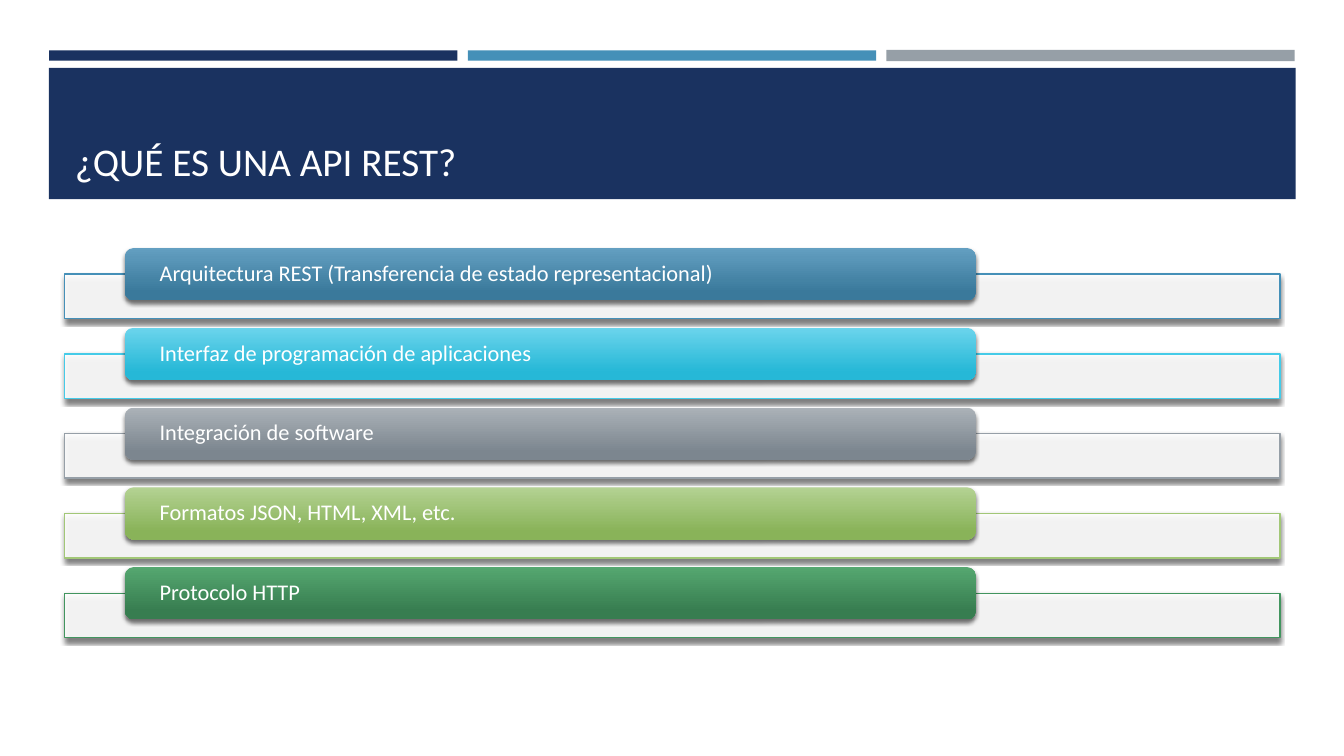
from lxml.etree import SubElement
from pptx import Presentation
from pptx.dml.color import RGBColor
from pptx.enum.shapes import MSO_SHAPE
from pptx.enum.text import MSO_ANCHOR, MSO_AUTO_SIZE, PP_ALIGN
from pptx.oxml.ns import qn
from pptx.util import Cm, Pt

FONT = "Calibri"
WHITE = "FFFFFF"
NAVY = "1A3260"

# left, top, height, colour
STRIPES = [
    (1.24, 1.27, 0.26, NAVY),
    (11.79, 1.27, 0.26, "4590B8"),
    (22.34, 1.26, 0.28, "969FA7"),
]

# text, frame line, gradient top, gradient bottom
TOPICS = [
    ("Arquitectura REST (Transferencia de estado representacional)",
     "4590B8", "639FC1", "3A799B"),
    ("Interfaz de programación de aplicaciones", "45CBE8", "6BD4EC", "26B8D7"),
    ("Integración de software", "969FA7", "ABB2B8", "7C868F"),
    ("Formatos JSON, HTML, XML, etc.", "A2C777", "B4D293", "89B359"),
    ("Protocolo HTTP", "42955F", "55A770", "377D50"),
]
TOPIC_PITCH = 2.01


def rgb(value):
    return RGBColor.from_string(value)


def add_box(page, kind, left, top, width, height):
    """Add a preset shape, measured in centimetres, with no line or shadow."""
    box = page.shapes.add_shape(kind, Cm(left), Cm(top), Cm(width), Cm(height))
    box.shadow.inherit = False
    box.line.fill.background()
    return box


def fill_solid(box, colour):
    box.fill.solid()
    box.fill.fore_color.rgb = rgb(colour)


def fill_gradient(box, upper, lower):
    box.fill.gradient()
    box.fill.gradient_angle = 270
    for stop, colour, position in zip(
            box.fill.gradient_stops, (upper, lower), (0, 0.84)):
        stop.color.rgb = rgb(colour)
        stop.position = position


def set_alpha(colour_element, percent):
    SubElement(colour_element, qn("a:alpha"), val=str(percent * 1000))


def add_shadow(box):
    effects = box.element.spPr.find(qn("a:effectLst"))
    shadow = SubElement(
        effects, qn("a:outerShdw"), blurRad=str(Pt(3)), dist=str(Pt(2)),
        dir="5400000", rotWithShape="0")
    set_alpha(SubElement(shadow, qn("a:srgbClr"), val="000000"), 55)


def add_span(para, text, size):
    span = para.add_run()
    span.text = text
    span.font.name = FONT
    span.font.size = Pt(size)
    span.font.color.rgb = rgb(WHITE)


def add_header(page):
    for left, top, height, colour in STRIPES:
        fill_solid(add_box(page, MSO_SHAPE.RECTANGLE, left, top, 10.29, height),
                   colour)
    fill_solid(add_box(page, MSO_SHAPE.RECTANGLE, 1.23, 1.71, 31.42, 3.31), NAVY)


def add_title(page, text):
    """Format the title placeholder and bring it in front of the band."""
    title = page.shapes.title
    title.left, title.top = Cm(1.63), Cm(1.96)
    title.width, title.height = Cm(30.63), Cm(2.82)
    frame = title.text_frame
    frame.auto_size = MSO_AUTO_SIZE.NONE
    frame.word_wrap = True
    frame.vertical_anchor = MSO_ANCHOR.BOTTOM
    para = frame.paragraphs[0]
    para.alignment = PP_ALIGN.LEFT
    add_span(para, text, 28)
    page.shapes.element.append(title.element)


def add_frame(page, top, colour):
    frame = add_box(page, MSO_SHAPE.RECTANGLE, 1.63, top, 30.63, 1.12)
    fill_solid(frame, WHITE)
    set_alpha(frame.element.spPr.find(qn("a:solidFill"))[0], 90)
    frame.line.color.rgb = rgb(colour)
    frame.line.width = Pt(1)
    add_shadow(frame)


def add_label(page, top, text, upper, lower):
    label = add_box(page, MSO_SHAPE.ROUNDED_RECTANGLE, 3.15, top, 21.44, 1.32)
    fill_gradient(label, upper, lower)
    add_shadow(label)
    frame = label.text_frame
    frame.word_wrap = True
    frame.vertical_anchor = MSO_ANCHOR.MIDDLE
    frame.margin_left = frame.margin_right = Cm(0.81)
    frame.margin_top = frame.margin_bottom = 0
    para = frame.paragraphs[0]
    para.alignment = PP_ALIGN.LEFT
    para.line_spacing = 0.9
    add_span(para, text, 16)


def main():
    deck = Presentation()
    deck.slide_width, deck.slide_height = Cm(33.87), Cm(19.05)
    page = deck.slides.add_slide(deck.slide_layouts[5])
    add_header(page)
    add_title(page, "¿QUÉ ES UNA API REST?")
    for index, (text, line, upper, lower) in enumerate(TOPICS):
        offset = index * TOPIC_PITCH
        add_frame(page, 6.91 + offset, line)
        add_label(page, 6.25 + offset, text, upper, lower)
    deck.save("out.pptx")


if __name__ == "__main__":
    main()
